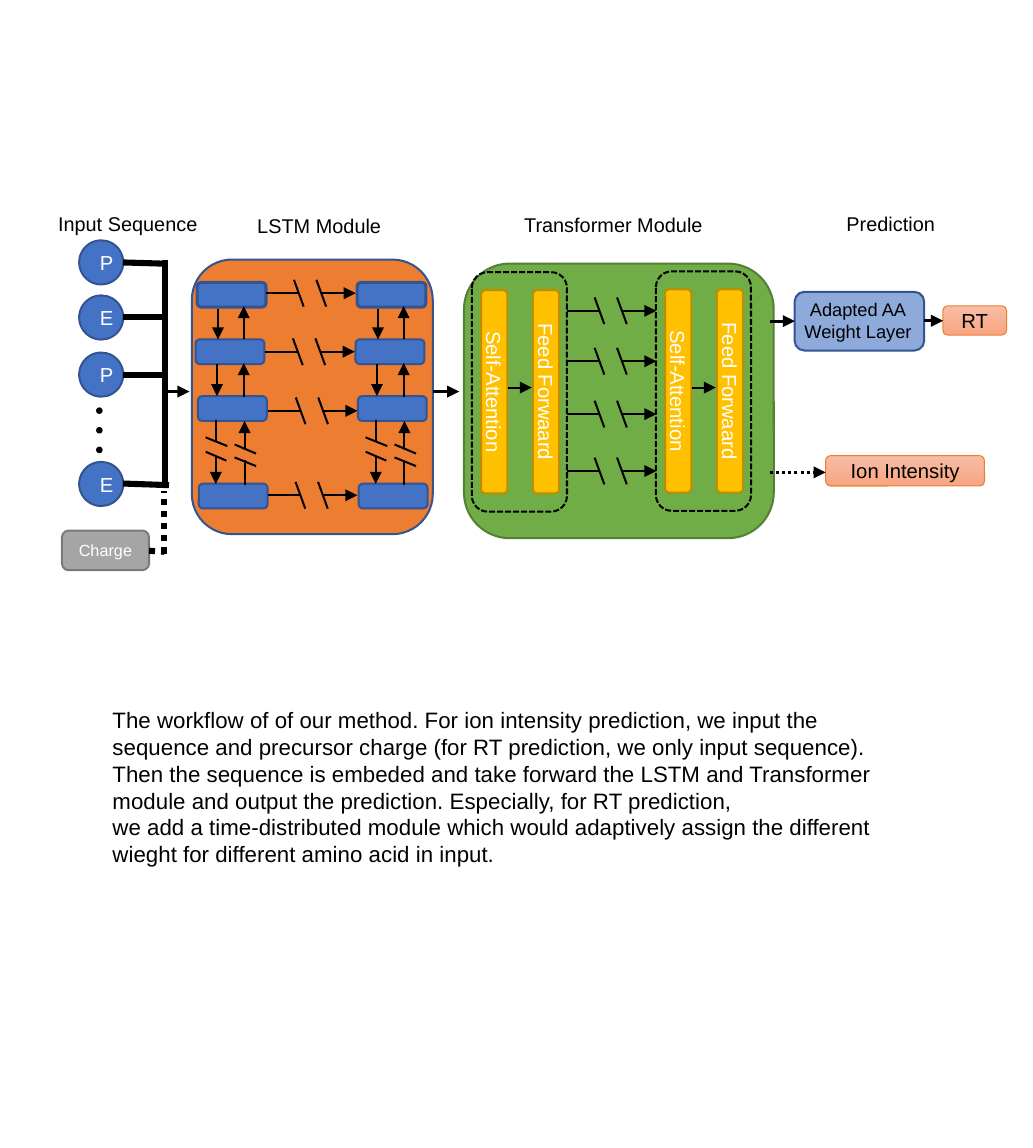
from lxml.etree import SubElement
from pptx import Presentation
from pptx.dml.color import RGBColor
from pptx.enum.dml import MSO_LINE
from pptx.enum.shapes import MSO_CONNECTOR, MSO_SHAPE
from pptx.enum.text import MSO_ANCHOR, MSO_AUTO_SIZE, PP_ALIGN
from pptx.oxml.ns import qn
from pptx.util import Pt

COLORS = {
    "black": "000000", "white": "FFFFFF", "blue": "4472C4", "navy": "325491",
    "orange": "ED7D31", "green": "70AD47", "dark green": "538035",
    "gold": "FFC000", "dark gold": "BD8E00", "gray": "A5A5A5", "dark gray": "7A7A7A",
    "light peach": "F7BDA5", "peach": "F8A582",
}
PEACH = ("light peach", "peach")

presentation = Presentation()
presentation.slide_width, presentation.slide_height = Pt(510.24), Pt(566.93)
slide = presentation.slides.add_slide(presentation.slide_layouts[6])


def add_block(kind, left, top, width, height, text="", fill=None, line=None, weight=1,
              dash=None, rotation=0, size=10, color="white", align=PP_ALIGN.CENTER,
              wrap=True):
    """Add a preset shape, or a text box when kind is None, with formatted text."""
    box = [Pt(value) for value in (left, top, width, height)]
    if kind is None:
        shape = slide.shapes.add_textbox(*box)
        shape.text_frame.auto_size = MSO_AUTO_SIZE.SHAPE_TO_FIT_TEXT
    else:
        shape = slide.shapes.add_shape(kind, *box)
        shape.shadow.inherit = False
        shape.rotation = rotation
        shape.text_frame.vertical_anchor = MSO_ANCHOR.MIDDLE
        shape.line.color.rgb = RGBColor.from_string(COLORS[line])
        shape.line.width = Pt(weight)
        if dash:
            shape.line.dash_style = dash
        if fill is None:
            shape.fill.background()
        elif isinstance(fill, tuple):
            shape.fill.gradient()
            shape.fill.gradient_angle = 270
            for stop, name in zip(shape.fill.gradient_stops, fill):
                stop.color.rgb = RGBColor.from_string(COLORS[name])
        else:
            shape.fill.solid()
            shape.fill.fore_color.rgb = RGBColor.from_string(COLORS[fill])
    if text:
        shape.text_frame.word_wrap = wrap
        shape.text_frame.text = text
        for paragraph in shape.text_frame.paragraphs:
            paragraph.alignment = align
            paragraph.font.name = "Arial"
            paragraph.font.size = Pt(size)
            paragraph.font.color.rgb = RGBColor.from_string(COLORS[color])
    return shape


def add_line(x1, y1, x2, y2, weight=1, arrow=False, dash=None):
    """Add a black straight line, optionally dashed or ending in an arrowhead."""
    connector = slide.shapes.add_connector(
        MSO_CONNECTOR.STRAIGHT, Pt(x1), Pt(y1), Pt(x2), Pt(y2))
    connector.line.color.rgb = RGBColor.from_string(COLORS["black"])
    connector.line.width = Pt(weight)
    if dash:
        connector.line.dash_style = dash
    properties = connector.element.spPr
    if arrow:
        SubElement(properties.find(qn("a:ln")), qn("a:tailEnd"), type="triangle")
    SubElement(properties, qn("a:effectLst"))


ROUNDED, OVAL = MSO_SHAPE.ROUNDED_RECTANGLE, MSO_SHAPE.OVAL

# Headings
for heading, left, top, width in [
        ("Input Sequence", 21.6, 100.8, 84.2), ("LSTM Module", 120, 101.8, 76.3),
        ("Transformer Module", 251.8, 101.4, 103.7), ("Prediction", 411, 100.8, 58.3)]:
    add_block(None, left, top, width, 19.4, heading, size=9.8, color="black",
              align=PP_ALIGN.LEFT, wrap=False)

# Input sequence, its bus line and the charge
for residue, top in zip("PEPE", (118.7, 145.9, 174.1, 228.1)):
    add_block(OVAL, 39.1, top, 21.8, 21.8, residue, fill="blue", line="navy")
for index in range(3):
    add_block(OVAL, 48, 201.7 + 9.7 * index, 2.2, 2.2, fill="black", line="black")
add_line(81.5, 128.4, 81.5, 241, weight=3)
for x1, y1, y2 in [(80.6, 130.2, 129.6), (81.4, 156.7, 156.7),
                   (82, 185, 185), (83.5, 239.6, 238.8)]:
    add_line(x1, y1, 60.8, y2, weight=3)
add_block(ROUNDED, 30.6, 262, 43, 19.6, "Charge", fill="gray", line="dark gray", size=8)
add_line(73.6, 272, 81.2, 272.5, weight=3, dash=MSO_LINE.ROUND_DOT)
add_line(81.2, 273.4, 81.2, 242.4, weight=3, dash=MSO_LINE.ROUND_DOT)

# LSTM module
add_block(ROUNDED, 94.8, 128.2, 119, 135.6, fill="orange", line="navy")
UP_AND_DOWN = [  # x1, y1, x2, y2, arrow
    (107.7, 152.5, 107.7, 167.6, True), (107.2, 179.8, 107.2, 195.6, True),
    (106.6, 225.5, 106.6, 239, True), (106.6, 207.5, 106.6, 218, False),
    (112.3, 220.3, 101.6, 216, False), (111.8, 227.5, 101.6, 223.1, False),
    (120.4, 167.6, 120.4, 151.2, True), (120.4, 196.3, 120.4, 179.3, True),
    (126.5, 224, 115.9, 219.5, False), (126.5, 230.2, 115.9, 225.9, False),
    (120.8, 221.8, 120.8, 207.9, True), (120.8, 227.2, 120.8, 239.5, False),
]
CELL_ROWS = [(97.4, 139.5, 1.5), (96.6, 167.6, 1), (97.8, 195.7, 1), (98.2, 238.9, 1)]
for shift in (0, 79):
    for left, top, weight in CELL_ROWS:
        add_block(ROUNDED, left + shift, top, 34, 12.2, fill="blue", line="navy",
                  weight=weight)
    for x1, y1, x2, y2, arrow in UP_AND_DOWN:
        add_line(x1 + shift, y1, x2 + shift, y2, arrow=arrow)

# Transformer module
add_block(ROUNDED, 229.2, 130.2, 153, 135.6, fill="green", line="dark green")
for left, top in [(233.1, 134.4), (324, 134)]:
    for text, offset in [("Self-Attention", 11), ("Feed Forwaard", 36.6)]:
        add_block(ROUNDED, left + offset - 50.2, top + 52.6, 100.4, 13, text,
                  fill="gold", line="dark gold", rotation=90)
    add_line(left + 17.6, 191.4, left + 29.6, 191.4, arrow=True)
    add_block(ROUNDED, left, top, 47, 118.3, line="black", dash=MSO_LINE.SQUARE_DOT)

# Interrupted links between the repeated layers of both modules
LINK_PARTS = [(0, 0, 16, 0, False), (27.5, 0, 44.2, 0, True),
              (18.5, 6.6, 13.7, -6.6, False), (29.6, 6.6, 24.8, -6.6, False)]
LINK_STARTS = [(131.5, 144.8), (131, 173.7), (132.4, 202.9), (132.3, 244.6)]
LINK_STARTS += [(280, y) for y in (153.5, 178.4, 204.5, 232.6)]
for x, y in LINK_STARTS:
    for x1, y1, x2, y2, arrow in LINK_PARTS:
        add_line(x + x1, y + y1, x + x2, y + y2, arrow=arrow)

# Prediction
weight_layer = add_block(ROUNDED, 392.5, 144.1, 64, 29, fill="blue", line="navy")
blue_element = weight_layer.element.spPr.find(qn("a:solidFill"))[0]
SubElement(blue_element, qn("a:alpha"), val="60000")
add_block(None, 389.6, 144, 68.4, 28.8, "Adapted AA\nWeight Layer", size=9, color="black")
for text, left, top, width, height in [("Ion Intensity", 407.8, 225, 78.5, 15),
                                       ("RT", 465.8, 151.1, 31.4, 14.4)]:
    add_block(ROUNDED, left, top, width, height, text, fill=PEACH, line="orange",
              weight=0.5, color="black")

# Flow between the stages
for x1, x2, y, dash in [(81, 93.6, 193.4, None), (214, 226.8, 193.4, None),
                        (380.4, 392.6, 158.6, None), (456.4, 465.8, 158.4, None),
                        (380.4, 407.8, 233.3, MSO_LINE.ROUND_DOT)]:
    add_line(x1, y, x2, y, weight=1.5, arrow=True, dash=dash)

# Caption
CAPTION = [
    "The workflow of of our method. For ion intensity prediction, we input the sequence "
    "and precursor charge (for RT prediction, we only input sequence).",
    "Then the sequence is embeded and take forward the LSTM and Transformer module and "
    "output the prediction. Especially, for RT prediction,",
    "we add a time-distributed module which would adaptively assign the different wieght "
    "for different amino acid in input.",
]
add_block(None, 48.5, 345.4, 396, 87.1, "\n".join(CAPTION), size=11, color="black",
          align=PP_ALIGN.LEFT)

presentation.save("out.pptx")
